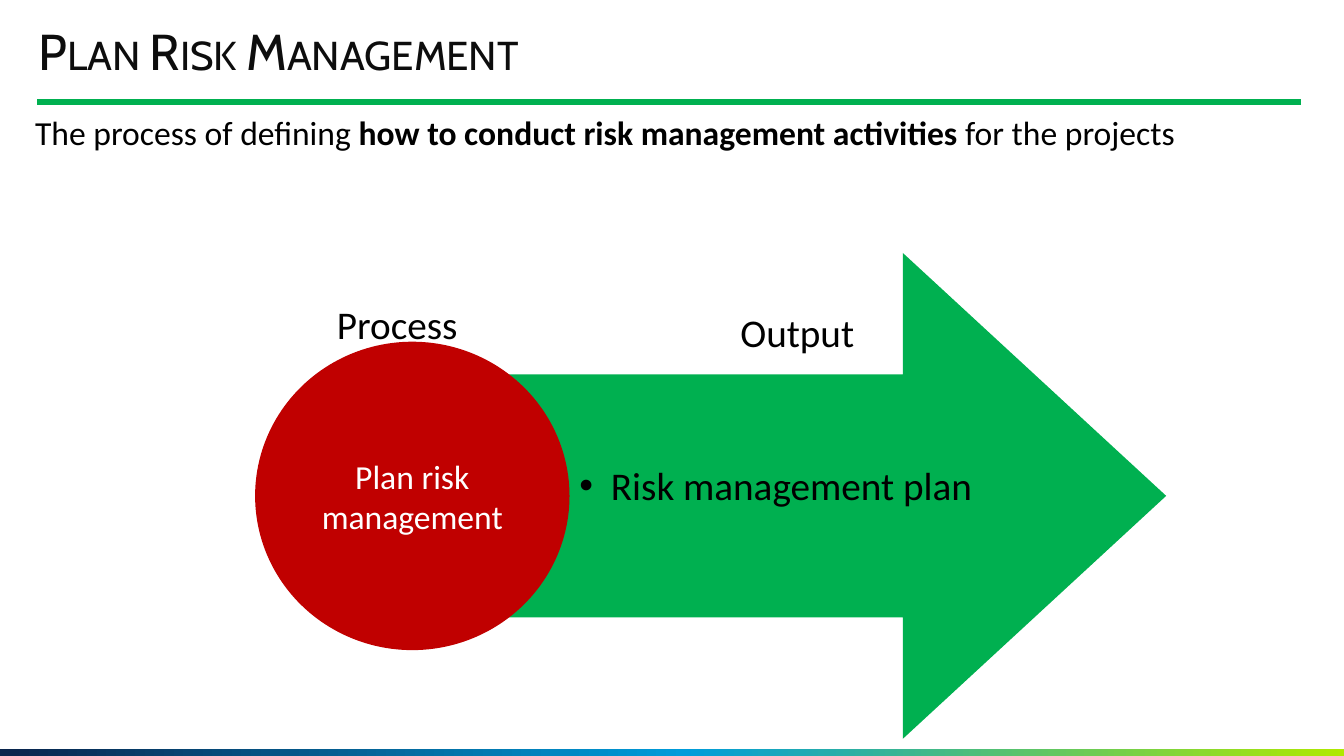
from copy import deepcopy

from lxml.etree import SubElement
from pptx import Presentation
from pptx.dml.color import RGBColor
from pptx.enum.shapes import MSO_CONNECTOR, MSO_SHAPE
from pptx.enum.text import MSO_ANCHOR, PP_ALIGN
from pptx.oxml.ns import qn
from pptx.util import Pt

GREEN, RED, BLACK, WHITE = "00B050", "C00000", "000000", "FFFFFF"


def color(hex_string):
    return RGBColor.from_string(hex_string)


class RiskSlide:
    """Holds the body font and the current slide, and draws its elements."""

    def __init__(self, slide, font="Calibri"):
        self.slide = slide
        self.font = font

    def style(self, paragraph, size, ink, font=None, align=PP_ALIGN.LEFT):
        paragraph.alignment = align
        paragraph.font.name = font or self.font
        paragraph.font.size = Pt(size)
        paragraph.font.color.rgb = color(ink)

    def shape(self, kind, left, top, width, height, fill=None):
        shape = self.slide.shapes.add_shape(
            kind, Pt(left), Pt(top), Pt(width), Pt(height))
        shape.shadow.inherit = False
        shape.line.fill.background()
        if fill:
            shape.fill.solid()
            shape.fill.fore_color.rgb = color(fill)
        return shape

    def gradient_bar(self, left, top, width, height, stops):
        bar = self.shape(MSO_SHAPE.RECTANGLE, left, top, width, height)
        bar.fill.gradient()
        bar.fill.gradient_angle = 0
        stop_list = bar._element.spPr.find(qn("a:gradFill")).find(qn("a:gsLst"))
        while len(stop_list) < len(stops):
            stop_list.append(deepcopy(stop_list[0]))
        for stop, (position, tint) in zip(bar.fill.gradient_stops, stops):
            stop.position = position
            stop.color.rgb = color(tint)

    def rule(self, left, right, y, ink, weight):
        rule = self.slide.shapes.add_connector(
            MSO_CONNECTOR.STRAIGHT, Pt(left), Pt(y), Pt(right), Pt(y))
        rule.line.color.rgb = color(ink)
        rule.line.width = Pt(weight)
        SubElement(rule._element.spPr, qn("a:effectLst"))

    def text(self, left, top, width, height, *parts, size=28,
             align=PP_ALIGN.LEFT, bullet_indent=0):
        box = self.slide.shapes.add_textbox(
            Pt(left), Pt(top), Pt(width), Pt(height))
        box.text_frame.word_wrap = True
        paragraph = box.text_frame.paragraphs[0]
        if bullet_indent:
            properties = paragraph._p.get_or_add_pPr()
            properties.set("marL", str(Pt(bullet_indent)))
            properties.set("indent", str(-Pt(bullet_indent)))
            SubElement(properties, qn("a:buFont")).set("typeface", "Arial")
            SubElement(properties, qn("a:buChar")).set("char", "•")
        self.style(paragraph, size, BLACK, align=align)
        for index, part in enumerate(parts):
            run = paragraph.add_run()
            run.text = part
            if index % 2:
                run.font.bold = True

    def title(self, left, top, width, height, words):
        box = self.slide.shapes.add_textbox(
            Pt(left), Pt(top), Pt(width), Pt(height))
        frame = box.text_frame
        frame.word_wrap = True
        frame.margin_left = frame.margin_right = Pt(0)
        frame.margin_top = frame.margin_bottom = Pt(0)
        heading = frame.paragraphs[0]
        heading.line_spacing = 0.9
        self.style(heading, 36, "0D0D0D", font="Cabin")
        run = heading.add_run()
        run.text = words
        run._r.get_or_add_rPr().set("cap", "small")

    def arrow(self, left, top, width, height, fill, shaft, head):
        arrow = self.shape(
            MSO_SHAPE.RIGHT_ARROW, left, top, width, height, fill)
        arrow.adjustments[0] = shaft
        arrow.adjustments[1] = head

    def circle(self, left, top, width, height, fill, words):
        circle = self.shape(MSO_SHAPE.OVAL, left, top, width, height, fill)
        frame = circle.text_frame
        frame.word_wrap = True
        frame.vertical_anchor = MSO_ANCHOR.MIDDLE
        frame.text = words
        self.style(frame.paragraphs[0], 24, WHITE, align=PP_ALIGN.CENTER)


def main():
    presentation = Presentation()
    presentation.slide_width = Pt(960)
    presentation.slide_height = Pt(540)
    page = RiskSlide(
        presentation.slides.add_slide(presentation.slide_layouts[6]))

    page.gradient_bar(0, 535, 960, 5,
                      [(0, "09244C"), (0.51, "009CDA"), (1, "B0E900")])
    page.rule(26.6, 929.5, 72.7, GREEN, 4.5)
    page.title(27.4, 19.4, 805.7, 39.6, "Plan Risk Management")
    page.text(18, 76.3, 900, 36, "The process of defining ",
              "how to conduct risk management activities ",
              "for the projects", size=24)

    page.arrow(346.3, 180.7, 486.7, 347, GREEN, 0.5, 0.542)
    page.circle(182.2, 244.1, 224.6, 220.3, RED, "Plan risk management")
    for label, left, top in (("Process", 221.8, 211), ("Output", 507.6, 216.7)):
        page.text(left, top, 123.8, 41, label, align=PP_ALIGN.CENTER)
    page.text(406.8, 326.2, 401.8, 41, "Risk management plan",
              bullet_indent=22.5)
    presentation.save("out.pptx")


if __name__ == "__main__":
    main()
